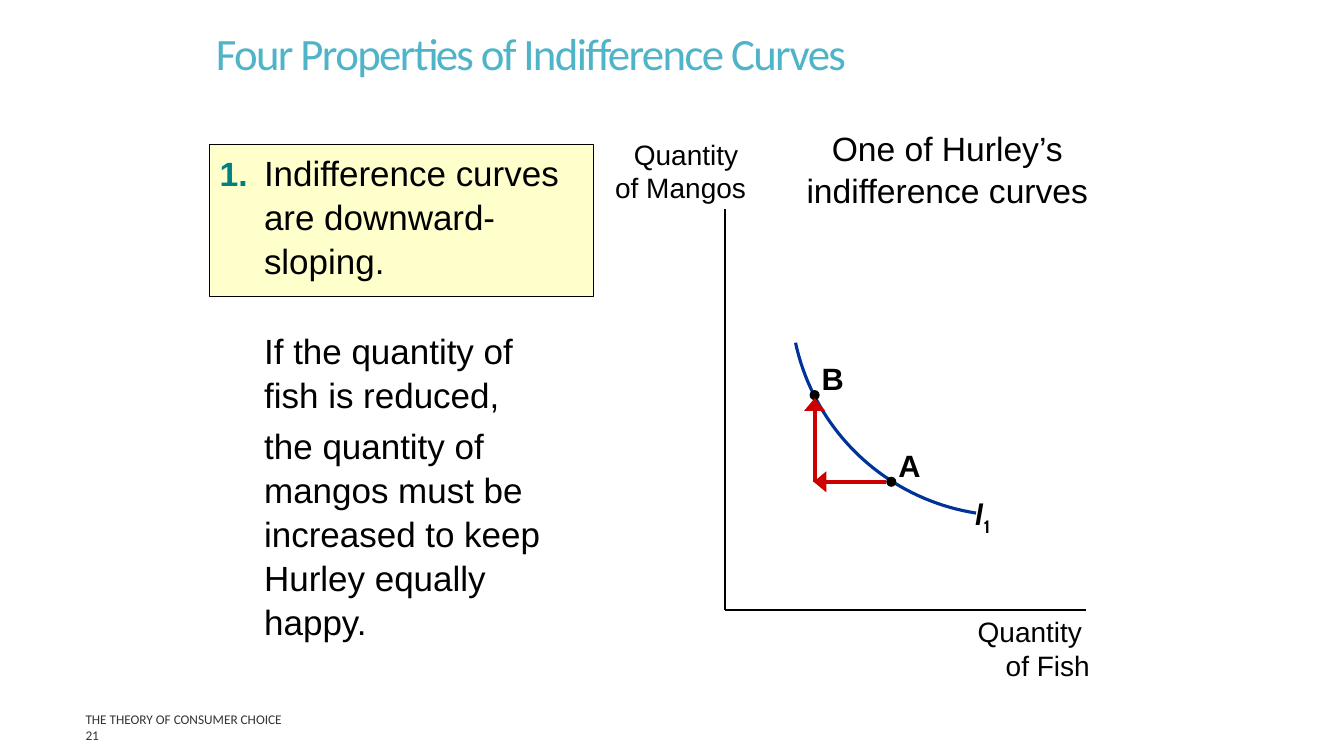
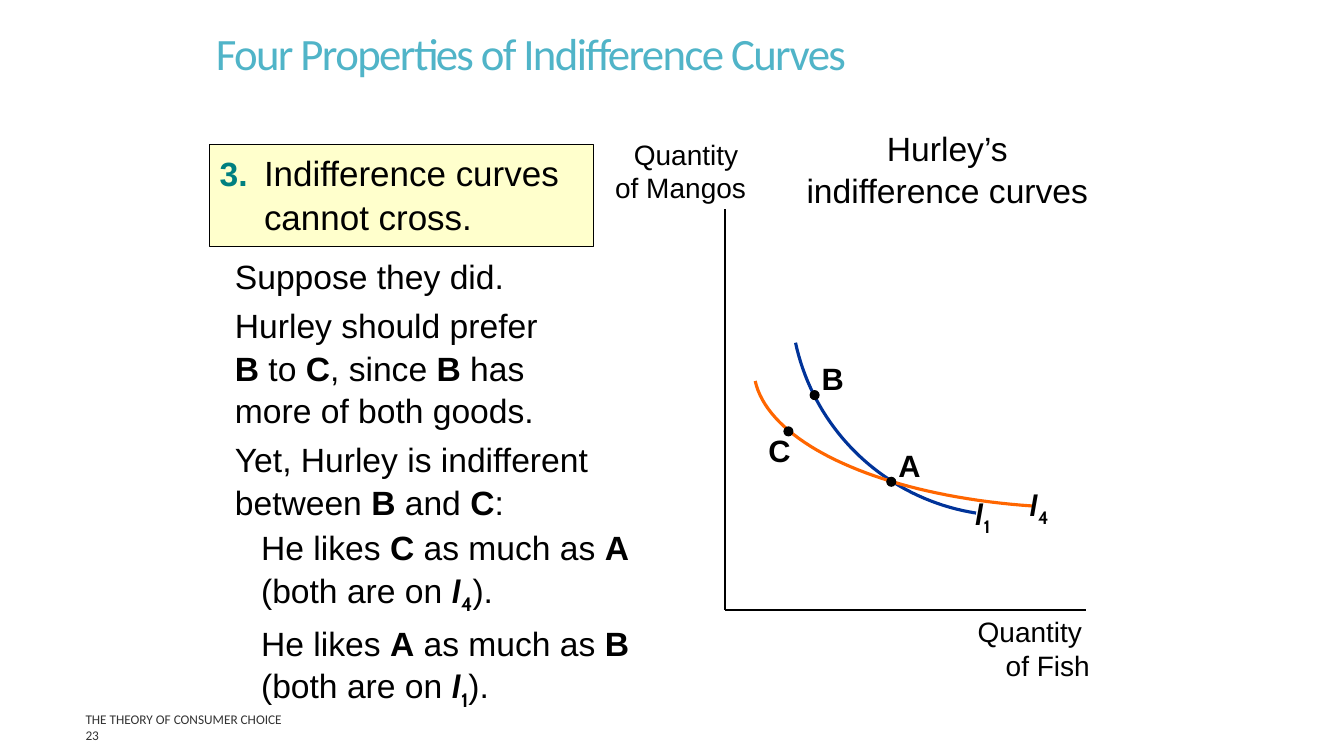
from lxml import etree
from pptx import Presentation
from pptx import util as u
from pptx.dml.color import RGBColor
from pptx.enum import shapes, text
from pptx.oxml import ns

TITLE = "Four Properties of Indifference Curves"
FOOTER = "THE THEORY OF CONSUMER CHOICE"
INK, FOOTER_INK, TITLE_INK = "000000", "333333", "50B4C8"
NUMBER_INK, BOX_FILL, ARROW_INK = "008080", "FFFFCC", "CC0000"

# Named formats for spans inside a paragraph
STYLES = {
    "bold": dict(bold=True),
    "number": dict(bold=True, size=24, color=NUMBER_INK),
    "curve": dict(bold=True, italic=True, font="Cabin"),
    "sub": dict(bold=True, font="Cabin", baseline=-25),
}
A, B, C = [(letter, "bold") for letter in "ABC"]
I1, I4 = [[("I", "curve"), (digit, "sub")] for digit in "14"]

# Point: centre, then offset of its letter
POINTS = {
    "A": ((8.84, 4.78), (0.07, -0.35)),
    "B": ((8.08, 3.92), (0.07, -0.35)),
    "C": ((7.82, 4.28), (-0.2, 0)),
}
# Curve: Bezier points, colour, name and where the name stands
CURVES = {
    "I1": ([(9.68, 5.09), (8.79, 4.95), (8.08, 4.28), (7.89, 3.4)],
           "003399", I1, (9.67, 4.91)),
    "I4": ([(10.24, 5.02), (8.76, 4.92), (7.63, 4.41), (7.49, 3.78)],
           "FF6600", I4, (10.21, 4.82)),
}
ORIGIN, Y_TOP, X_RIGHT = (7.19, 6.05), (7.19, 2.07), (10.77, 6.05)
AXIS_LABELS = [
    ("Quantity \nof Mangos", (5.88, 1.36, 1.52, 0.67)),
    ("Quantity \nof Fish", (9.59, 6.1, 1.22, 0.67)),
]

# Body paragraphs: spans, space before, left indent
SLIDES = [
    dict(
        page_number="21", property_number="1.", box_height=1.51,
        statement="Indifference curves are downward-sloping.",
        heading="One of Hurley’s indifference curves",
        body_at=(2.52, 3.2, 3.46, 3.25), body_size=25,
        body=[
            (["If the quantity of \nfish is reduced,"], 0, 0),
            (["the quantity of mangos must be increased to keep "
              "Hurley equally happy."], 5, 0),
        ],
        curves=["I1"], points="AB",
        arrows=[((8.79, 4.78), (8.07, 4.78)), ((8.08, 4.78), (8.08, 3.95))],
    ),
    dict(
        page_number="23", property_number="3.", box_height=1.02,
        statement="Indifference curves cannot cross.",
        heading="Hurley’s indifference curves",
        body_at=(2.23, 2.47, 4.14, 4.56), body_size=24,
        body=[
            (["Suppose they did."], 0, 0),
            (["Hurley should prefer \n", B, " to ", C, ", since ", B,
              " has \nmore of both goods."], 5, 0),
            (["Yet, Hurley is indifferent \nbetween ", B, " and ", C, ":"],
             5, 0),
            (["He likes ", C, " as much as ", A, " (both are on ", *I4, ")."],
             2.4, 0.26),
            (["He likes ", A, " as much as ", B, " (both are on ", *I1, ")."],
             3.6, 0.26),
        ],
        curves=["I1", "I4"], points="ABC", arrows=[],
    ),
]


def inches(values):
    return [u.Inches(value) for value in values]


def rgb(color):
    return RGBColor.from_string(color)


def add_span(para, words, size=24, color=INK, font="Arial", bold=False,
             italic=False, baseline=0, spacing=0):
    for index, line in enumerate(words.split("\n")):
        if index:
            para.add_line_break()
        if not line:
            continue
        span = para.add_run()
        span.text = line
        span.font.size, span.font.name = u.Pt(size), font
        span.font.bold, span.font.italic = bold, italic
        span.font.color.rgb = rgb(color)
        props = span.font._element
        if baseline:
            props.set("baseline", str(baseline * 1000))
        if spacing:
            props.set("spc", str(round(spacing * 100)))


def add_para(frame, spans, first=False, align="LEFT", line=1, before=0,
             indent=0, hanging=0, **span_format):
    para = frame.paragraphs[0] if first else frame.add_paragraph()
    para.alignment = text.PP_ALIGN[align]
    para.line_spacing, para.space_before = line, u.Pt(before)
    props = para._p.get_or_add_pPr()
    props.set("marL", str(u.Inches(indent)))
    props.set("indent", str(u.Inches(-hanging)))
    etree.SubElement(props, ns.qn("a:buNone"))
    for span in spans:
        words, style = (span, None) if isinstance(span, str) else span
        add_span(para, words, **{**span_format, **STYLES.get(style, {})})


def set_frame(box, anchor="TOP", inset=True):
    frame = box.text_frame
    frame.word_wrap = True
    frame.auto_size = text.MSO_AUTO_SIZE.NONE
    frame.vertical_anchor = text.MSO_ANCHOR[anchor]
    sides, ends = (0.1, 0.05) if inset else (0, 0)
    frame.margin_left = frame.margin_right = u.Inches(sides)
    frame.margin_top = frame.margin_bottom = u.Inches(ends)
    return frame


def add_text(page, at, spans, anchor="TOP", inset=True, **para_format):
    box = page.shapes.add_textbox(*inches(at))
    add_para(set_frame(box, anchor, inset), spans, first=True, **para_format)


def place(holder, at):
    holder.left, holder.top, holder.width, holder.height = inches(at)


def add_shape(page, kind, at, fill):
    shape = page.shapes.add_shape(shapes.MSO_SHAPE[kind], *inches(at))
    shape.shadow.inherit = False
    shape.fill.solid()
    shape.fill.fore_color.rgb = rgb(fill)
    shape.line.fill.background()
    return shape


def add_line(page, start, end, color=INK, width=1, arrow=False):
    line = page.shapes.add_connector(
        shapes.MSO_CONNECTOR.STRAIGHT, *inches(start + end))
    line.line.color.rgb, line.line.width = rgb(color), u.Pt(width)
    if arrow:
        etree.SubElement(line.line._get_or_add_ln(), ns.qn("a:tailEnd"),
                         type="triangle", w="lg")
    etree.SubElement(line._element.spPr, ns.qn("a:effectLst"))


def bezier(points, steps=40):
    """Points along a cubic curve, in the unit of the given points."""
    for step in range(steps + 1):
        t = step / steps
        weights = ((1 - t) ** 3, 3 * t * (1 - t) ** 2,
                   3 * t * t * (1 - t), t ** 3)
        yield tuple(round(sum(w * p[axis] for w, p in zip(weights, points)))
                    for axis in (0, 1))


def add_curve(page, points, color, name, name_at):
    start, *rest = bezier([inches(point) for point in points])
    builder = page.shapes.build_freeform(*start)
    builder.add_line_segments(rest, close=False)
    curve = builder.convert_to_shape()
    curve.shadow.inherit = False
    curve.fill.background()
    curve.line.color.rgb, curve.line.width = rgb(color), u.Pt(2.25)
    add_text(page, name_at + (0.37, 0.47), name, inset=False, size=22)


def add_point(page, letter):
    (x, y), (dx, dy) = POINTS[letter]
    add_shape(page, "OVAL", (x - 0.05, y - 0.05, 0.1, 0.1), INK)
    add_text(page, (x + dx, y + dy, 0.32, 0.37), [letter], inset=False,
             size=22, bold=True)


def add_frame_parts(page, page_number):
    """Title, footer and page number."""
    title = page.shapes.title
    place(title, (2.04, 0.23, 9.2, 0.66))
    add_para(set_frame(title, "MIDDLE"), [TITLE], first=True, line=0.85,
             size=32, font="Calibri", color=TITLE_INK, spacing=-1.2)
    for words, top in ((FOOTER, 7.01), (page_number, 7.17)):
        add_text(page, (0.75, top, 4.5, 0.25), [words], anchor="MIDDLE",
                 size=9.5, font="Calibri", color=FOOTER_INK)


def add_argument(page, content):
    """Boxed property and the reasoning below it."""
    box = add_shape(page, "RECTANGLE", (2.08, 1.43, 3.81,
                                        content["box_height"]), BOX_FILL)
    box.line.color.rgb, box.line.width = rgb(INK), u.Pt(0.75)
    add_para(set_frame(box),
             [(content["property_number"] + "\t", "number"),
              content["statement"]],
             first=True, line=1.05, indent=0.44, hanging=0.44, size=25)
    body = page.placeholders[1]
    place(body, content["body_at"])
    frame = set_frame(body)
    for index, (spans, before, indent) in enumerate(content["body"]):
        add_para(frame, spans, first=index == 0, line=1.05, before=before,
                 indent=indent, size=content["body_size"])


def add_graph(page, content):
    for end in (Y_TOP, X_RIGHT):
        add_line(page, ORIGIN, end)
    for words, at in AXIS_LABELS:
        add_text(page, at, [words], inset=False, align="RIGHT", size=20)
    add_text(page, (7.85, 1.2, 3.09, 0.94), [content["heading"]],
             align="CENTER", line=1.05, size=24)
    for name in content["curves"]:
        add_curve(page, *CURVES[name])
    for letter in content["points"]:
        add_point(page, letter)
    for start, end in content["arrows"]:
        add_line(page, start, end, ARROW_INK, 3, arrow=True)


def main():
    deck = Presentation()
    deck.slide_width, deck.slide_height = inches((13.33, 7.5))
    for content in SLIDES:
        page = deck.slides.add_slide(deck.slide_layouts[1])
        add_frame_parts(page, content["page_number"])
        add_argument(page, content)
        add_graph(page, content)
    deck.save("out.pptx")


if __name__ == "__main__":
    main()
